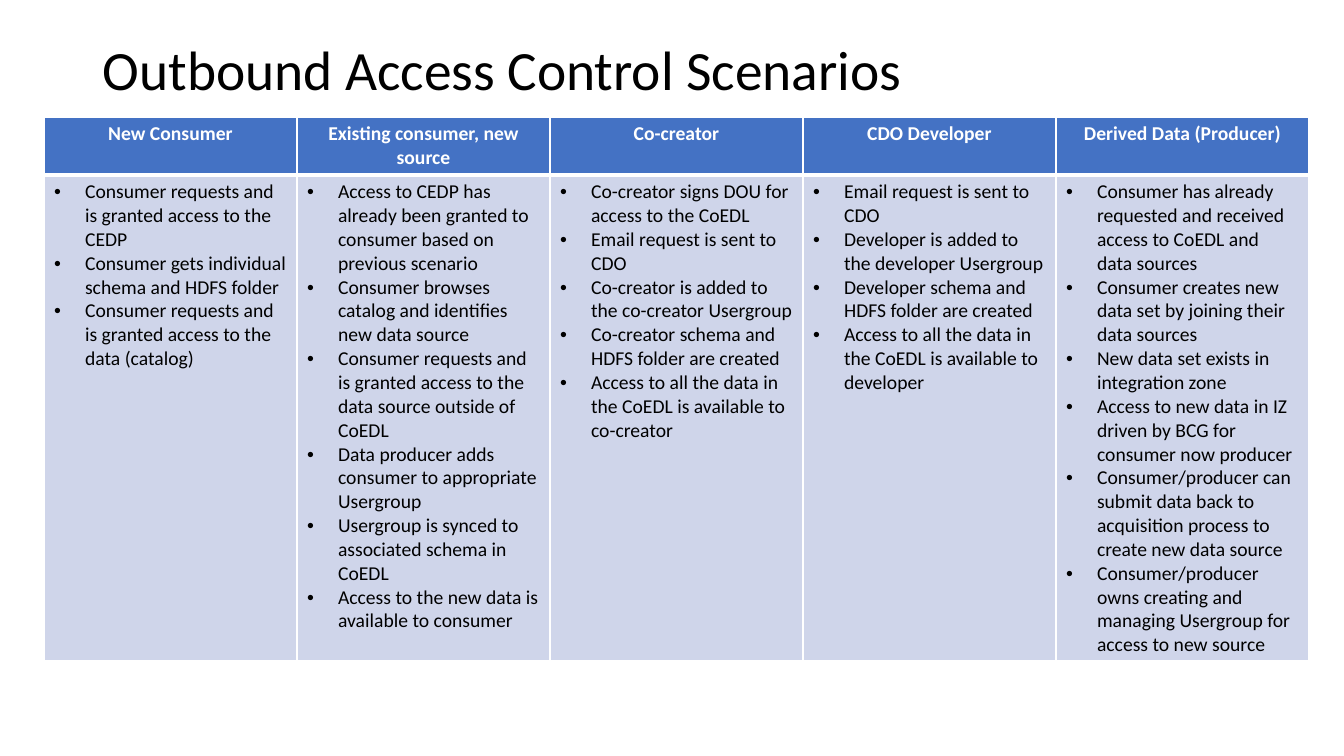
from dataclasses import dataclass

from lxml import etree
from pptx import Presentation
from pptx import util as u
from pptx.dml.color import RGBColor
from pptx.enum import text
from pptx.oxml import ns


@dataclass(frozen=True)
class Theme:
    font: str = "Calibri"
    title_size: float = 39.6
    table_size: float = 14
    black: str = "000000"
    white: str = "FFFFFF"
    header: str = "4472C4"
    body: str = "CFD5EA"
    thin: float = 1
    thick: float = 3


THEME = Theme()
EMU_PER_PX = 914400 / 100.8
INDENT = 31

SCENARIOS = {
    "New Consumer": [
        "Consumer requests and is granted access to the CEDP",
        "Consumer gets individual schema and HDFS folder",
        "Consumer requests and is granted access to the data (catalog)",
    ],
    "Existing consumer, new source": [
        "Access to CEDP has already been granted to consumer based on previous scenario",
        "Consumer browses catalog and identifies new data source",
        "Consumer requests and is granted access to the data source outside of CoEDL",
        "Data producer adds consumer to appropriate Usergroup",
        "Usergroup is synced to associated schema in CoEDL",
        "Access to the new data is available to consumer",
    ],
    "Co-creator": [
        "Co-creator signs DOU for access to the CoEDL",
        "Email request is sent to CDO",
        "Co-creator is added to the co-creator Usergroup",
        "Co-creator schema and HDFS folder are created",
        "Access to all the data in the CoEDL is available to co-creator",
    ],
    "CDO Developer": [
        "Email request is sent to CDO",
        "Developer is added to the developer Usergroup",
        "Developer schema and HDFS folder are created",
        "Access to all the data in the CoEDL is available to developer",
    ],
    "Derived Data (Producer)": [
        "Consumer has already requested and received access to CoEDL and data sources",
        "Consumer creates new data set by joining their data sources",
        "New data set exists in integration zone",
        "Access to new data in IZ driven by BCG for consumer now producer",
        "Consumer/producer can submit data back to acquisition process to create new data source",
        "Consumer/producer owns creating and managing Usergroup for access to new source",
    ],
}


def px(n):
    return u.Emu(round(n * EMU_PER_PX))


def style_runs(p, size, color, bold=False):
    for r in p.runs:
        r.font.name = THEME.font
        r.font.size = u.Pt(size)
        r.font.bold = bold
        r.font.color.rgb = RGBColor.from_string(color)


def add_title(s, title, x, y, w, h):
    tf = s.shapes.add_textbox(px(x), px(y), px(w), px(h)).text_frame
    tf.word_wrap = True
    tf.vertical_anchor = text.MSO_ANCHOR.MIDDLE
    tf.text = title
    p = tf.paragraphs[0]
    p.line_spacing = 0.9
    style_runs(p, THEME.title_size, THEME.black)


def set_borders(cell, top, bottom):
    tcPr = cell._tc.get_or_add_tcPr()
    widths = {"L": THEME.thin, "R": THEME.thin, "T": top, "B": bottom}
    for i, (side, width) in enumerate(widths.items()):
        ln = etree.Element(ns.qn(f"a:ln{side}"), w=str(u.Pt(width)))
        fill = etree.SubElement(ln, ns.qn("a:solidFill"))
        etree.SubElement(fill, ns.qn("a:srgbClr"), val=THEME.white)
        tcPr.insert(i, ln)


def add_bullet(p):
    pPr = p._p.get_or_add_pPr()
    pPr.set("marL", str(px(INDENT)))
    pPr.set("indent", str(-px(INDENT)))
    etree.SubElement(pPr, ns.qn("a:buFont"), typeface="Arial")
    etree.SubElement(pPr, ns.qn("a:buChar"), char="•")


def fill_cell(cell, lines, color):
    cell.fill.solid()
    cell.fill.fore_color.rgb = RGBColor.from_string(color)
    cell.text_frame.text = "\n".join(lines)
    return cell.text_frame.paragraphs


def fill_header(cell, heading):
    for p in fill_cell(cell, [heading], THEME.header):
        p.alignment = text.PP_ALIGN.CENTER
        style_runs(p, THEME.table_size, THEME.white, bold=True)
    set_borders(cell, THEME.thin, THEME.thick)


def fill_body(cell, steps):
    for p in fill_cell(cell, steps, THEME.body):
        add_bullet(p)
        style_runs(p, THEME.table_size, THEME.black)
    set_borders(cell, THEME.thick, THEME.thin)


def add_scenarios(s, x, y, col_w, row_heights):
    n = len(SCENARIOS)
    frame = s.shapes.add_table(2, n, px(x), px(y), px(col_w * n), px(sum(row_heights)))
    table = frame.table
    for row, h in zip(table.rows, row_heights):
        row.height = px(h)
    for c, (heading, steps) in enumerate(SCENARIOS.items()):
        table.columns[c].width = px(col_w)
        fill_header(table.cell(0, c), heading)
        fill_body(table.cell(1, c), steps)


def main():
    prs = Presentation()
    prs.slide_width, prs.slide_height = px(1344), px(756)
    s = prs.slides.add_slide(prs.slide_layouts[6])
    add_title(s, "Outbound Access Control Scenarios", 93, 40, 1159, 65)
    add_scenarios(s, 44, 117, 253, [58, 486])
    prs.save("out.pptx")


if __name__ == "__main__":
    main()
